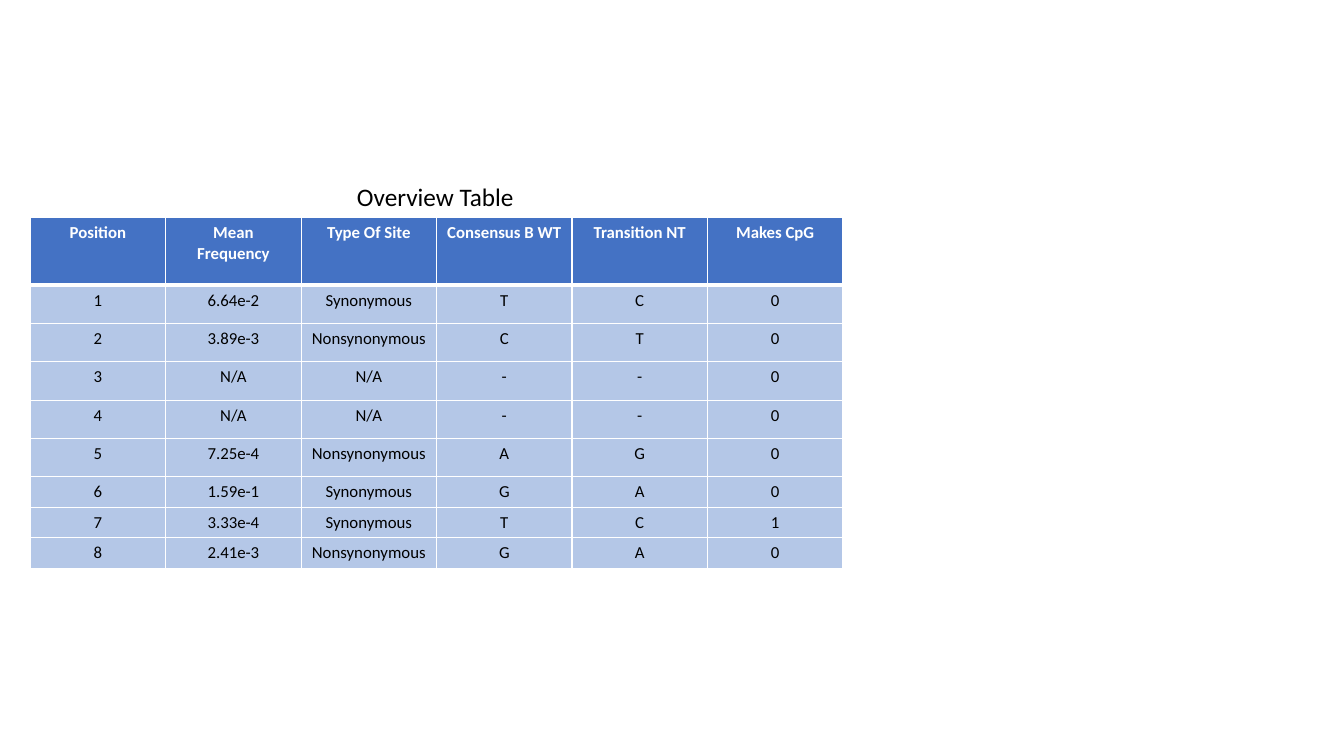
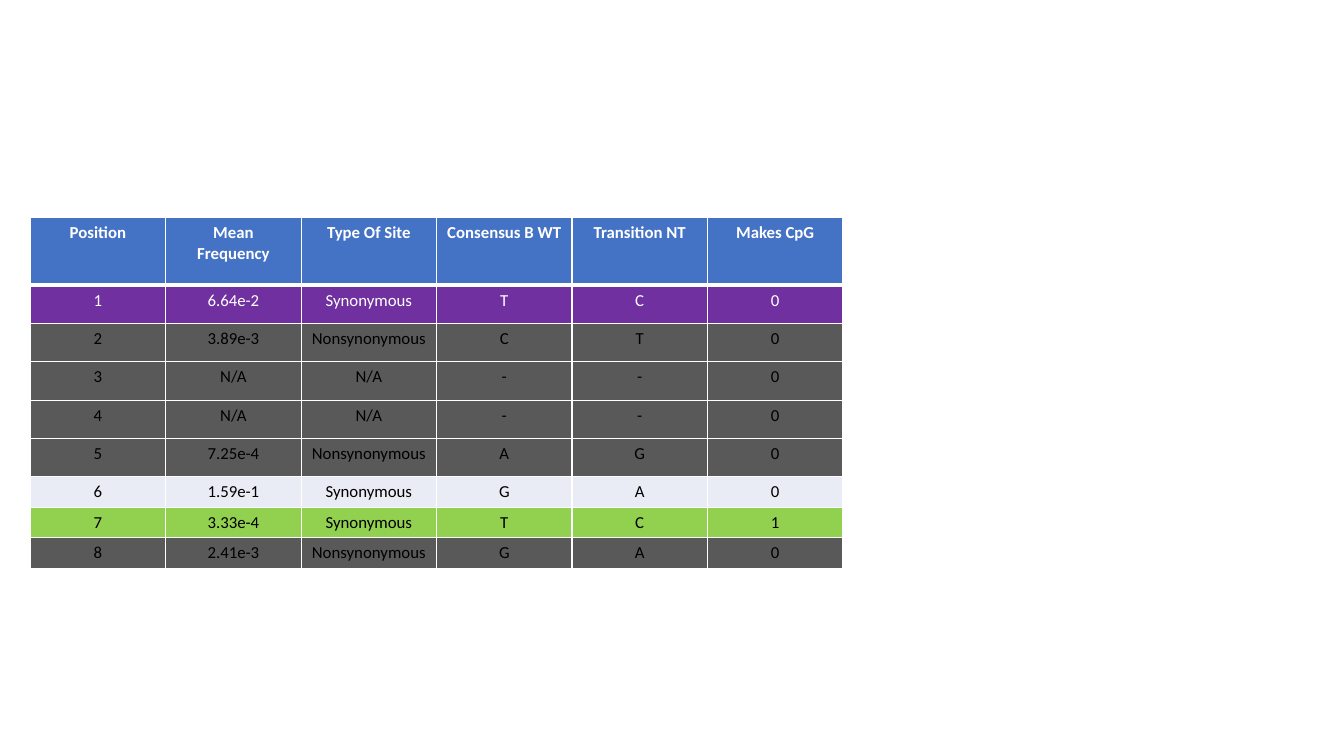
from lxml.etree import SubElement
from pptx import Presentation
from pptx.dml.color import RGBColor
from pptx.enum.text import MSO_ANCHOR, MSO_AUTO_SIZE, PP_ALIGN
from pptx.oxml.ns import qn
from pptx.util import Inches, Pt

FONT = "Calibri"
WHITE, BLACK = "FFFFFF", "000000"
HEADER_BLUE, PALE_BLUE, LAVENDER = "4472C4", "B4C7E7", "E9EBF5"
PURPLE, GRAY, GREEN = "7030A0", "595959", "92D050"

TABLE_BOX = (0.3, 2.16, 8.06, 3.48)
TITLE_BOX = (3.44, 1.75, 1.77, 0.4)
HEADER_HEIGHT, TALL_HEIGHT = 0.67, 0.38
TALL_ROWS = 5

HEADINGS = ("Position", "Mean Frequency", "Type Of Site",
            "Consensus B WT", "Transition NT", "Makes CpG")
SITES = (
    ("1", "6.64e-2", "Synonymous", "T", "C", "0"),
    ("2", "3.89e-3", "Nonsynonymous", "C", "T", "0"),
    ("3", "N/A", "N/A", "-", "-", "0"),
    ("4", "N/A", "N/A", "-", "-", "0"),
    ("5", "7.25e-4", "Nonsynonymous", "A", "G", "0"),
    ("6", "1.59e-1", "Synonymous", "G", "A", "0"),
    ("7", "3.33e-4", "Synonymous", "T", "C", "1"),
    ("8", "2.41e-3", "Nonsynonymous", "G", "A", "0"),
)
PLAIN_STYLES = [(PALE_BLUE, BLACK)] * len(SITES)
HIGHLIGHT_STYLES = [(PURPLE, WHITE), *[(GRAY, BLACK)] * 4,
                    (LAVENDER, BLACK), (GREEN, BLACK), (GRAY, BLACK)]


def color(value):
    """Turn a hex string into a colour."""
    return RGBColor.from_string(value)


def write_text(frame, text, size=12, ink=BLACK, bold=False, align=PP_ALIGN.CENTER):
    """Write one formatted paragraph into a text frame."""
    paragraph = frame.paragraphs[0]
    paragraph.alignment = align
    run = paragraph.add_run()
    run.text = text
    run.font.name = FONT
    run.font.size = Pt(size)
    run.font.bold = bold
    run.font.color.rgb = color(ink)


def add_border(cell, side, width):
    """Draw a white border on one side of a cell."""
    properties = cell._tc.get_or_add_tcPr()
    line = SubElement(properties, qn(f"a:ln{side}"), w=str(Pt(width)))
    fill = SubElement(line, qn("a:solidFill"))
    SubElement(fill, qn("a:srgbClr"), val=WHITE)


def fill_row(table, row, values, fill, ink):
    """Fill a table row, with a thick rule between header and body."""
    widths = {"L": 1, "R": 1, "T": 3 if row == 1 else 1, "B": 3 if row == 0 else 1}
    for column, value in enumerate(values):
        cell = table.cell(row, column)
        for side, width in widths.items():
            add_border(cell, side, width)
        cell.fill.solid()
        cell.fill.fore_color.rgb = color(fill)
        write_text(cell.text_frame, value, ink=ink, bold=row == 0)


def add_site_table(slide, box, styles):
    """Place the site table in its box with one fill and ink per row."""
    left, top, width, height = box
    shape = slide.shapes.add_table(len(SITES) + 1, len(HEADINGS),
                                   *(Inches(length) for length in box))
    table = shape.table
    for column in table.columns:
        column.width = Inches(width / len(HEADINGS))
    short_height = ((height - HEADER_HEIGHT - TALL_ROWS * TALL_HEIGHT)
                    / (len(SITES) - TALL_ROWS))
    heights = ([HEADER_HEIGHT] + [TALL_HEIGHT] * TALL_ROWS
               + [short_height] * (len(SITES) - TALL_ROWS))
    for table_row, row_height in zip(table.rows, heights):
        table_row.height = Inches(row_height)
    fill_row(table, 0, HEADINGS, HEADER_BLUE, WHITE)
    for row, (values, style) in enumerate(zip(SITES, styles), start=1):
        fill_row(table, row, values, *style)


def place_title(slide, box, text):
    """Move the title placeholder into its box and write the title."""
    title = slide.shapes.title
    title.left, title.top, title.width, title.height = map(Inches, box)
    frame = title.text_frame
    frame.word_wrap = False
    frame.auto_size = MSO_AUTO_SIZE.SHAPE_TO_FIT_TEXT
    frame.vertical_anchor = MSO_ANCHOR.TOP
    write_text(frame, text, size=18, align=PP_ALIGN.LEFT)


def add_table_slide(presentation, styles, title=None):
    """Add a slide with the site table and an optional title."""
    layout = "Title Only" if title else "Blank"
    slide = presentation.slides.add_slide(
        presentation.slide_layouts.get_by_name(layout))
    if title:
        place_title(slide, TITLE_BOX, title)
    add_site_table(slide, TABLE_BOX, styles)


presentation = Presentation()
presentation.slide_width, presentation.slide_height = Inches(13.33), Inches(7.5)
add_table_slide(presentation, PLAIN_STYLES, title="Overview Table")
add_table_slide(presentation, HIGHLIGHT_STYLES)
presentation.save("out.pptx")
